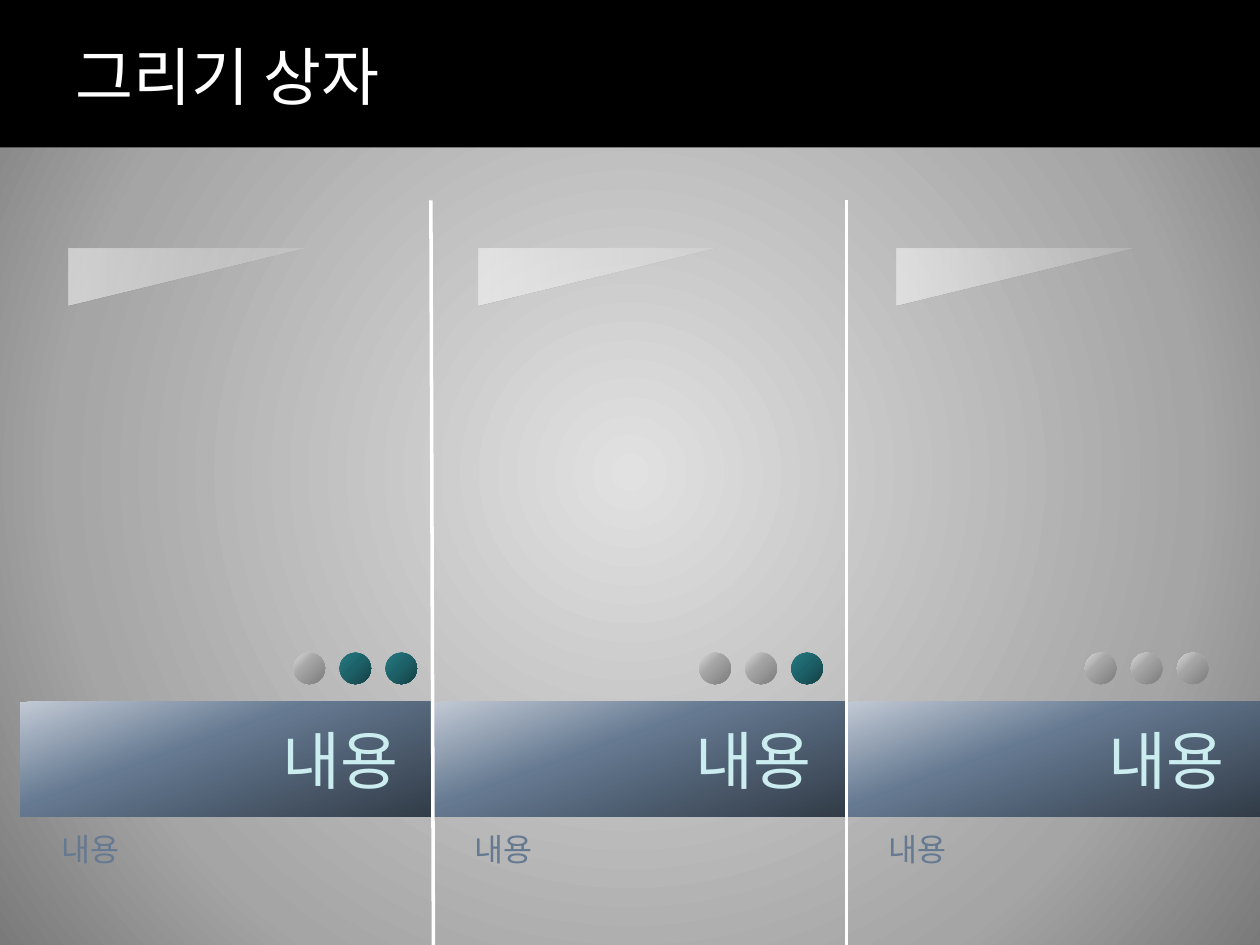
from pptx import Presentation
from pptx.dml.color import RGBColor
from pptx.enum.shapes import MSO_CONNECTOR, MSO_SHAPE
from pptx.enum.text import MSO_ANCHOR, PP_ALIGN
from pptx.oxml import parse_xml
from pptx.oxml.ns import nsdecls, qn
from pptx.oxml.xmlchemy import OxmlElement
from pptx.util import Inches, Pt

HUES = {"band": "000000", "white": "FFFFFF", "label": "CBEDF0", "note": "657991"}
GRADS = {
    "back": [(0, "E1E1E1", 100), (72, "A5A5A5", 100), (100, "7A7A7A", 100)],
    "bar": [(0, "C1C9D4", 100), (40, "657991", 100), (100, "323C48", 100)],
    "grey": [(0, "DBDBDB", 100), (40, "A5A5A5", 100), (100, "7C7C7C", 100)],
    "teal": [(0, "257A82", 100), (50, "1D6067", 100), (100, "144044", 100)],
    "glow": [(0, "FFFFFF", 15), (50, "FFFFFF", 30), (100, "FFFFFF", 50)],
}


def write(frame, text, size, hue, font="Cabin", align=PP_ALIGN.LEFT,
          anchor=MSO_ANCHOR.TOP, right=0.1):
    frame.word_wrap = True
    frame.vertical_anchor = anchor
    frame.margin_right = Inches(right)
    para = frame.paragraphs[0]
    para.alignment = align
    run = para.add_run()
    run.text = text
    run.font.size = Pt(size)
    run.font.name = font
    run.font.color.rgb = RGBColor.from_string(HUES[hue])


def shade(fill, holder, name, angle=None):
    fill.solid()
    stops = "".join(
        f'<a:gs pos="{pos * 1000}"><a:srgbClr val="{hue}">'
        f'<a:alpha val="{alpha * 1000}"/></a:srgbClr></a:gs>'
        for pos, hue, alpha in GRADS[name])
    if angle is None:
        run = ('<a:path path="circle"><a:fillToRect l="50000" t="50000" '
               'r="50000" b="50000"/></a:path>')
    else:
        run = f'<a:lin ang="{angle * 60000}" scaled="0"/>'
    grad = parse_xml(f'<a:gradFill {nsdecls("a")} rotWithShape="1">'
                     f'<a:gsLst>{stops}</a:gsLst>{run}</a:gradFill>')
    holder.replace(holder.find(qn("a:solidFill")), grad)


deck = Presentation()
deck.slide_width = Inches(10)
deck.slide_height = Inches(7.5)
slide = deck.slides.add_slide(deck.slide_layouts[6])
shapes = slide.shapes
back = slide.background.fill
back.solid()
shade(back, slide.element.find(".//" + qn("p:bgPr")), "back")

band = shapes.add_shape(MSO_SHAPE.RECTANGLE, 0, 0, deck.slide_width, Inches(1.17))
band.shadow.inherit = False
band.fill.solid()
band.fill.fore_color.rgb = RGBColor.from_string(HUES["band"])
band.line.fill.background()
title = shapes.add_textbox(Inches(0.5), Inches(0.19), Inches(9), Inches(0.81))
write(title.text_frame, "그리기 상자", 36, "white", font="Arial", anchor=MSO_ANCHOR.MIDDLE)

left, col = 0.16, 3.28
bar_top, bar_high = 5.57, 0.91
dot, step = 0.25, 0.365
wide, tall = 0.45, 1.88

for i in range(3):
    x = left + i * col
    bar = shapes.add_shape(MSO_SHAPE.RECTANGLE, Inches(x), Inches(bar_top),
                           Inches(col), Inches(bar_high))
    bar.shadow.inherit = False
    shade(bar.fill, bar.element.spPr, "bar", 70)
    bar.line.fill.background()
    write(bar.text_frame, "내용", 36, "label", align=PP_ALIGN.RIGHT,
          anchor=MSO_ANCHOR.MIDDLE, right=0.28)
    note = shapes.add_textbox(Inches(x + 0.23), Inches(6.54), Inches(2.81), Inches(0.71))
    write(note.text_frame, "내용", 18, "note")

for i, lean in enumerate((0.02, 0), 1):
    x = left + i * col
    rule = shapes.add_connector(MSO_CONNECTOR.STRAIGHT, Inches(x), deck.slide_height,
                                Inches(x - lean), Inches(1.59))
    rule.line.color.rgb = RGBColor.from_string(HUES["white"])
    rule.line.width = Pt(2)
    rule.element.spPr.append(OxmlElement("a:effectLst"))

for i, (start, edge) in enumerate(((2.33, 1.26), (5.55, 4.51), (8.61, 7.83))):
    for j in range(3):
        ball = shapes.add_shape(MSO_SHAPE.OVAL, Inches(start + j * step), Inches(5.18),
                                Inches(dot), Inches(dot))
        ball.shadow.inherit = False
        shade(ball.fill, ball.element.spPr, "teal" if j > i else "grey", 45)
        ball.line.fill.background()
    flag = shapes.add_shape(MSO_SHAPE.RIGHT_TRIANGLE, Inches(edge), Inches(1.26),
                            Inches(wide), Inches(tall))
    flag.rotation = 90
    flag.shadow.inherit = False
    shade(flag.fill, flag.element.spPr, "glow", 90)
    flag.line.fill.background()

deck.save("out.pptx")
